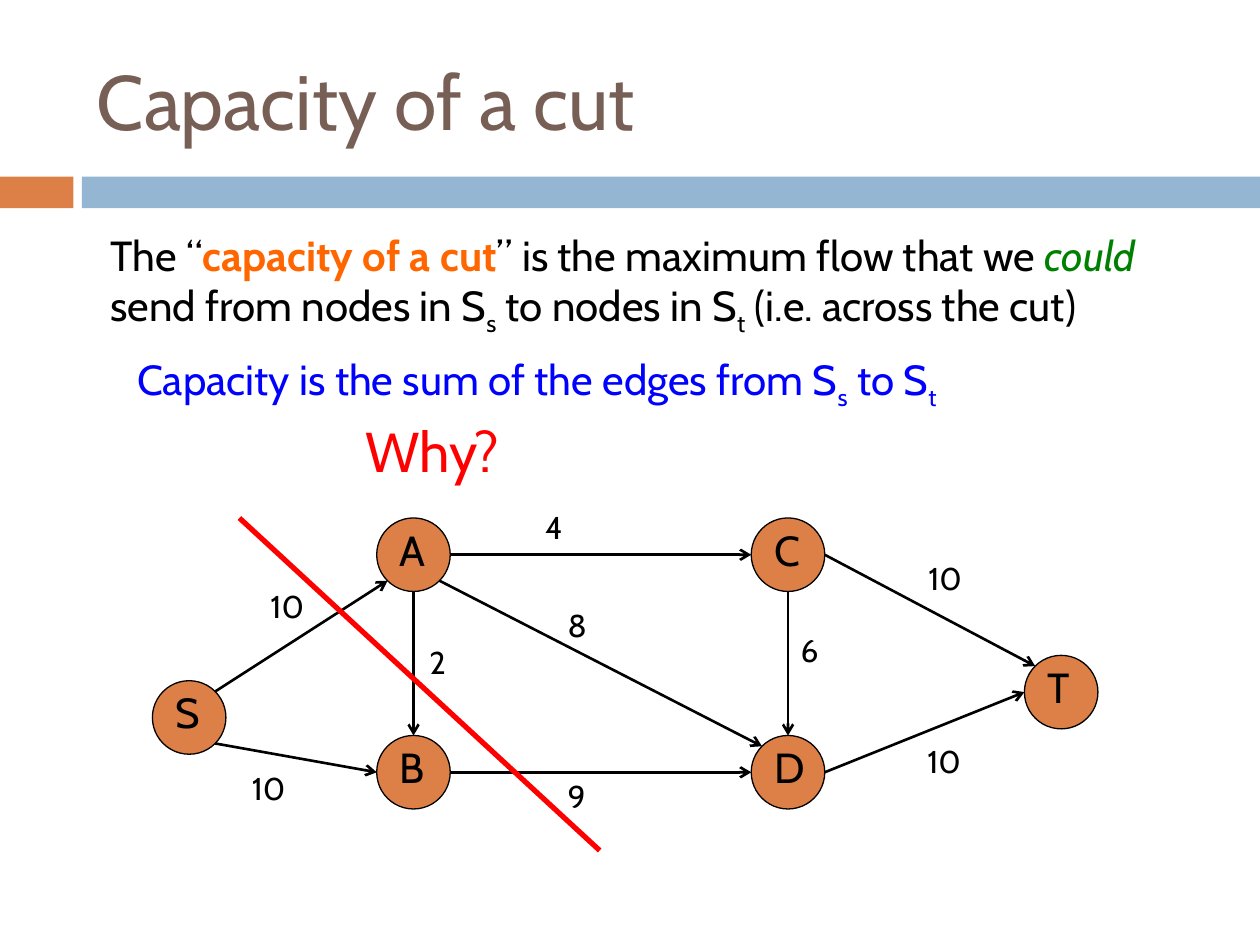
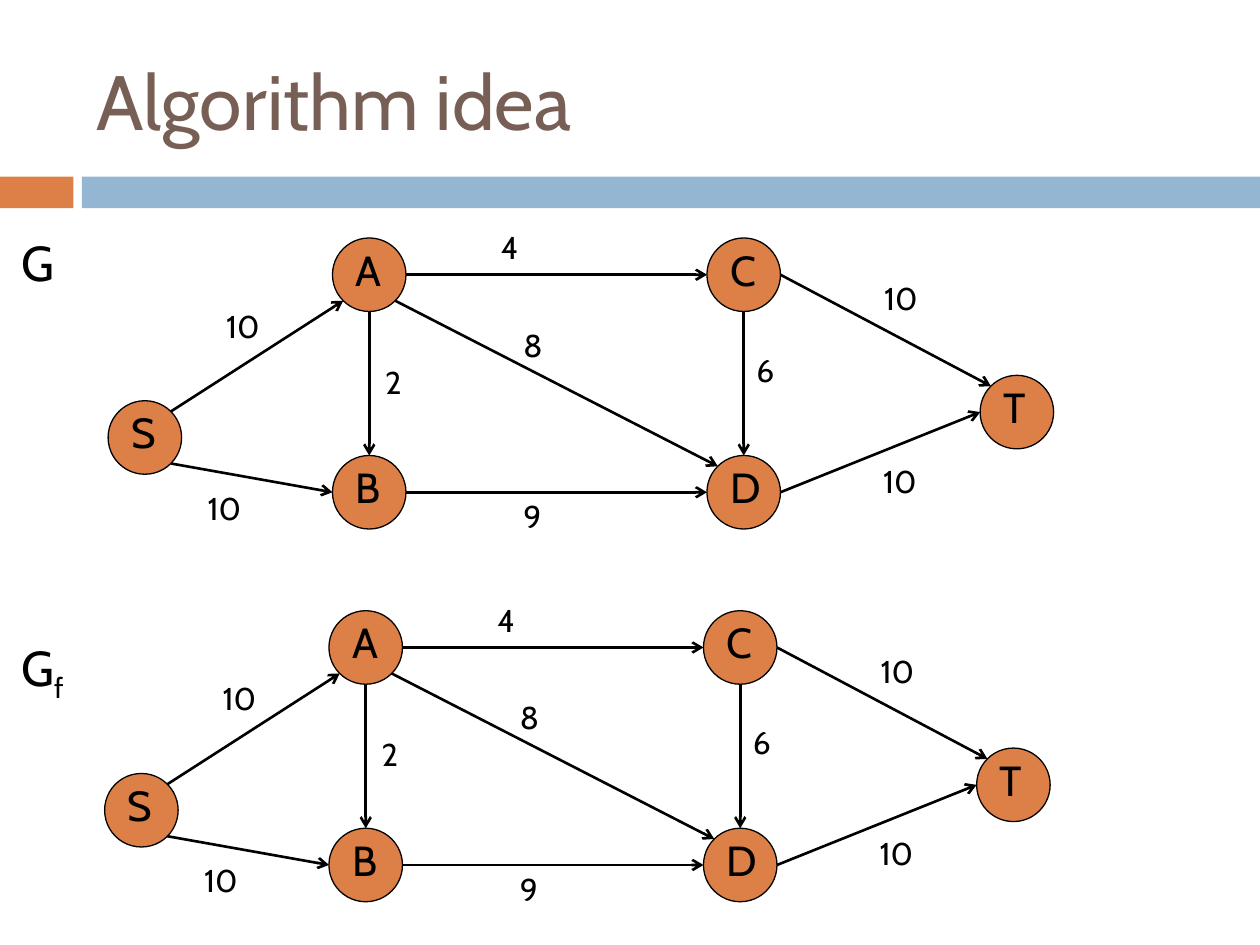
from math import cos, radians, sin

from lxml.etree import SubElement
from pptx import Presentation
from pptx.dml.color import RGBColor
from pptx.enum.shapes import MSO_CONNECTOR as Connector, MSO_SHAPE as Shape
from pptx.enum.text import MSO_ANCHOR as Anchor, MSO_AUTO_SIZE as AutoSize, PP_ALIGN as Align
from pptx.oxml.ns import qn
from pptx.util import Pt

COLORS = {
    "title": "775F55", "accent": "DD8047", "band": "94B6D2", "ink": "000000",
    "term": "FF6600", "stress": "008000", "rule": "0000FF", "alert": "FF0000",
}
FONT = "Cabin"
TITLE_AREA = (48, 18, 642, 78)
BANDS = [((0, 101, 42, 18), "accent"), ((46.8, 101, 673.2, 18), "band")]

NODE_SIZE = 42
LETTER_INSET, LETTER_SIZE = 6.1, 36
NODES = {
    "S": (0, 93), "A": (128.2, 0), "B": (128.2, 124.3),
    "T": (498.3, 78.5), "C": (342.2, 0), "D": (342.2, 124.3),
}
ANGLES = {
    "right": 0, "lower right": 45, "bottom": 90, "lower left": 135,
    "left": 180, "upper left": 225, "top": 270, "upper right": 315,
}
EDGES = [
    ("S", "upper right", "A", "lower left", "10", (60.3, 35.7, 54)),
    ("S", "lower right", "B", "left", "10", (49.7, 139.7, 54)),
    ("B", "right", "D", "left", "9", (230.2, 144.7, 54)),
    ("A", "bottom", "B", "top", "2", (151.2, 67.7, 54)),
    ("A", "right", "C", "left", "4", (217.3, -9, 67)),
    ("C", "bottom", "D", "top", "6", (363.3, 60.8, 54)),
    ("A", "lower right", "D", "upper left", "8", (230.2, 46.5, 68)),
    ("C", "right", "T", "upper left", "10", (436.3, 19.8, 68)),
    ("D", "right", "T", "left", "10", (435.7, 124.3, 68)),
]

PLAIN, SUB = {}, {"baseline": "-25000"}
SLIDES = [
    {
        "title": "Capacity of a cut",
        "graphs": [(87.1, 296)],
        "cuts": [((342.7, 486), (136.8, 296))],
        "captions": [
            ((201.6, 234.7, 175, 46), 32, "alert", [("Why?", PLAIN)]),
            ((56, 127.4, 603, 65.5), 24, "ink", [
                ("The “", PLAIN),
                ("capacity of a cut", {"color": "term", "bold": True}),
                ("” is the maximum flow that we ", PLAIN),
                ("could", {"color": "stress", "italic": True}),
                (" send from nodes in S", PLAIN), ("s", SUB),
                (" to nodes in S", PLAIN), ("t", SUB),
                (" (i.e. across the cut)", PLAIN),
            ]),
            ((71.3, 198.7, 593, 36), 24, "rule", [
                ("Capacity is the sum of the edges from S", PLAIN), ("s", SUB),
                (" to S", PLAIN), ("t", SUB),
            ]),
        ],
    },
    {
        "title": "Algorithm idea",
        "graphs": [(61.8, 136), (59.8, 349)],
        "cuts": [],
        "captions": [
            ((5, 129.6, 63.4, 41), 28, "ink", [("G", PLAIN)]),
            ((5, 360.7, 63.4, 41), 28, "ink", [("G", PLAIN), ("f", SUB)]),
        ],
    },
]


def rgb(name):
    return RGBColor.from_string(COLORS[name])


def points(values):
    return [Pt(value) for value in values]


def write(paragraph, text, size, color, style=PLAIN):
    run = paragraph.add_run()
    run.text = text
    style = {"color": color, **style}
    format_values = {
        "name": FONT, "size": Pt(size),
        "bold": style.get("bold", False), "italic": style.get("italic", False),
    }
    for attribute, value in format_values.items():
        setattr(run.font, attribute, value)
    run.font.color.rgb = rgb(style["color"])
    if "baseline" in style:
        run.font._element.set("baseline", style["baseline"])


def add_text(shapes, area, size, color, pieces):
    frame = shapes.add_textbox(*points(area)).text_frame
    for attribute, value in {"word_wrap": True, "auto_size": AutoSize.SHAPE_TO_FIT_TEXT}.items():
        setattr(frame, attribute, value)
    for text, style in pieces:
        write(frame.paragraphs[0], text, size, color, style)


def add_filled(shapes, kind, area, color):
    shape = shapes.add_shape(kind, *points(area))
    shape.shadow.inherit = False
    shape.fill.solid()
    shape.fill.fore_color.rgb = rgb(color)
    return shape


def add_line(shapes, start, end, color, width, arrow=False):
    line = shapes.add_connector(Connector.STRAIGHT, *points((*start, *end)))
    line.line.color.rgb = rgb(color)
    line.line.width = Pt(width)
    properties = line.element.spPr
    if arrow:
        SubElement(properties.find(qn("a:ln")), qn("a:tailEnd"), type="arrow")
    SubElement(properties, qn("a:effectLst"))


def add_node(shapes, letter, left, top):
    members = shapes.add_group_shape().shapes
    circle = add_filled(members, Shape.OVAL, (left, top, NODE_SIZE, NODE_SIZE), "accent")
    circle.line.color.rgb = rgb("ink")
    circle.line.width = Pt(0.75)
    add_text(members, (left + LETTER_INSET, top, LETTER_SIZE, LETTER_SIZE), 24, "ink",
             [(letter, PLAIN)])


def rim(node, side, origin):
    radius, angle = NODE_SIZE / 2, radians(ANGLES[side])
    left, top = NODES[node]
    return (origin[0] + left + radius * (1 + cos(angle)),
            origin[1] + top + radius * (1 + sin(angle)))


def add_graph(shapes, origin):
    x, y = origin
    for letter, (left, top) in NODES.items():
        add_node(shapes, letter, x + left, y + top)
    for source, exit_side, target, entry_side, capacity, (left, top, width) in EDGES:
        add_line(shapes, rim(source, exit_side, origin), rim(target, entry_side, origin),
                 "ink", 1.5, arrow=True)
        add_text(shapes, (x + left, y + top, width, 29), 18, "ink", [(capacity, PLAIN)])


def add_title(slide, text):
    title = slide.shapes.title
    for attribute, value in zip(("left", "top", "width", "height"), points(TITLE_AREA)):
        setattr(title, attribute, value)
    frame = title.text_frame
    for attribute, value in {"vertical_anchor": Anchor.MIDDLE, "word_wrap": True}.items():
        setattr(frame, attribute, value)
    frame.paragraphs[0].alignment = Align.LEFT
    write(frame.paragraphs[0], text, 44, "title")


def add_bands(layout, slide):
    for position, (area, color) in enumerate(BANDS, start=2):
        band = add_filled(slide.shapes, Shape.RECTANGLE, area, color)
        band.line.fill.background()
        layout.shapes.element.insert(position, band.element)


def main():
    deck = Presentation()
    deck.slide_width, deck.slide_height = points((720, 540))
    layout = deck.slide_layouts[5]
    for content in SLIDES:
        slide = deck.slides.add_slide(layout)
        add_title(slide, content["title"])
        for origin in content["graphs"]:
            add_graph(slide.shapes, origin)
        for start, end in content["cuts"]:
            add_line(slide.shapes, start, end, "alert", 3)
        for caption in content["captions"]:
            add_text(slide.shapes, *caption)
    add_bands(layout, deck.slides[0])
    deck.save("out.pptx")


if __name__ == "__main__":
    main()
